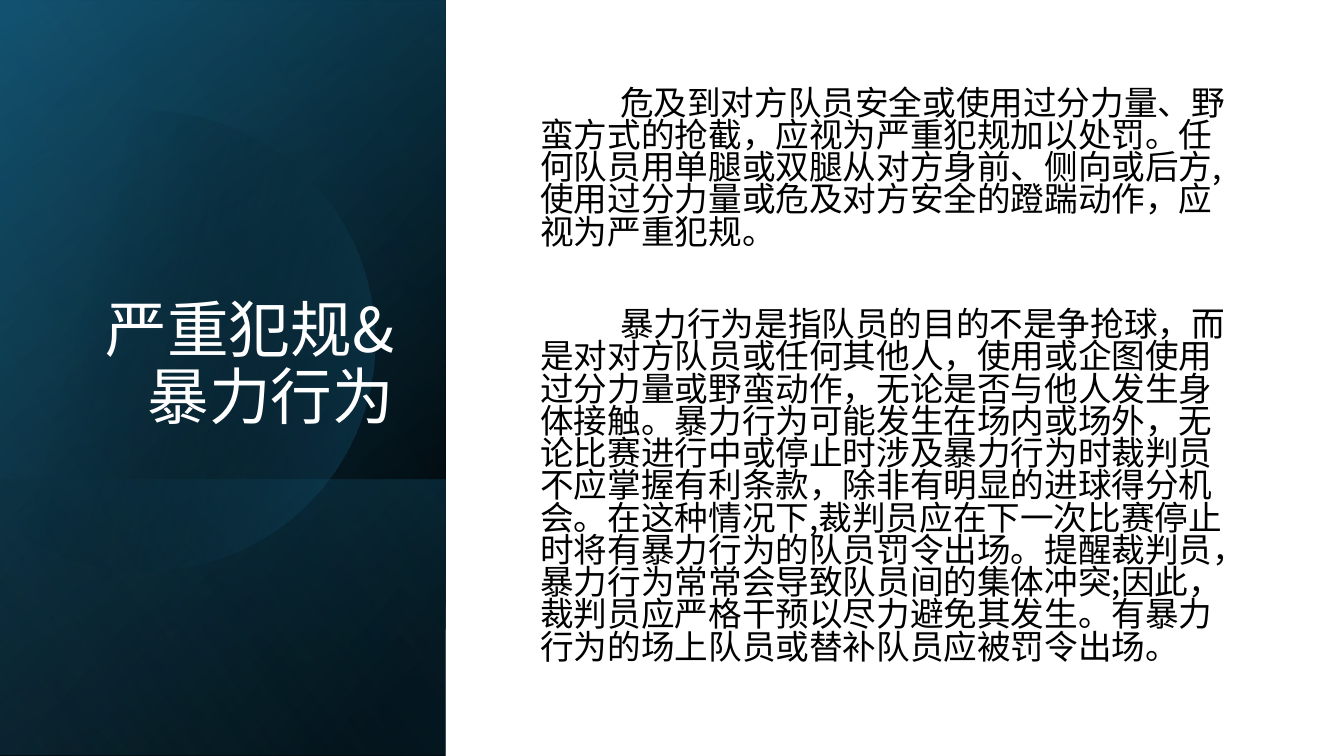
"""Build a slide on serious foul play and violent conduct."""
from dataclasses import dataclass

from lxml import etree
from pptx import Presentation
from pptx.dml.color import RGBColor
from pptx.enum.shapes import MSO_SHAPE
from pptx.enum.text import MSO_ANCHOR, MSO_AUTO_SIZE, PP_ALIGN
from pptx.oxml.ns import qn
from pptx.util import Inches, Pt

RECT = MSO_SHAPE.RECTANGLE
BOTTOM, MIDDLE = MSO_ANCHOR.BOTTOM, MSO_ANCHOR.MIDDLE
LEFT, RIGHT = PP_ALIGN.LEFT, PP_ALIGN.RIGHT
FIXED = MSO_AUTO_SIZE.NONE


@dataclass(frozen=True)
class Theme:
    font: str = "Noto Sans CJK SC"
    white: str = "FFFFFF"
    black: str = "000000"
    navy: str = "104862"
    blue: str = "156082"
    sky: str = "46B1E1"
    title: int = 44
    body: int = 24


theme = Theme()


def shade(shape, stops, angle):
    """Fill a shape with a gradient of (position, colour, opacity) stops."""
    shape.shadow.inherit = False
    shape.line.fill.background()
    shape.fill.gradient()
    grad = shape._element.spPr.find(qn("a:gradFill"))
    for child in list(grad):
        grad.remove(child)
    steps = etree.SubElement(grad, qn("a:gsLst"))
    for pos, color, alpha in stops:
        stop = etree.SubElement(steps, qn("a:gs"), pos=str(pos * 1000))
        tint = etree.SubElement(stop, qn("a:srgbClr"), val=color)
        etree.SubElement(tint, qn("a:alpha"), val=str(alpha * 1000))
    etree.SubElement(grad, qn("a:lin"), ang=str(angle * 60000), scaled="0")


def write(par, text, size, color):
    """Add one run of styled text to a paragraph."""
    run = par.add_run()
    run.text = text
    run.font.name = theme.font
    run.font.size = Pt(size)
    run.font.color.rgb = RGBColor.from_string(color)
    etree.SubElement(run._r.get_or_add_rPr(), qn("a:ea"), typeface=theme.font)


deck = Presentation()
deck.slide_width, deck.slide_height = Inches(13.33), Inches(7.5)
slide = deck.slides.add_slide(deck.slide_layouts[1])
shapes = slide.shapes
title, body = slide.placeholders

page = shapes.add_shape(RECT, 0, 0, deck.slide_width, deck.slide_height)
page.shadow.inherit = False
page.fill.solid()
page.fill.fore_color.rgb = RGBColor.from_string(theme.white)
page.line.fill.background()

panels = [
    (-1.54, 1.54, 7.5, [(8, theme.black, 100), (100, theme.navy, 100)], 50),
    (-1.54, 1.55, 7.5, [(0, theme.black, 0), (99, theme.blue, 46)], 30),
    (0.84, 3.92, 2.74, [(2, theme.blue, 29), (100, theme.black, 30)], 130),
    "disc",
    (-1.54, 1.53, 7.5, [(0, theme.black, 0), (99, theme.sky, 11)], 120),
]
start = (1.49, 1.1)
curves = [
    [(2.46, 1.12), (3.35, 1.77), (3.63, 2.75)],
    [(3.98, 3.97), (3.28, 5.23), (2.07, 5.58)],
    [(1.31, 5.8), (0.53, 5.61), (-0.03, 5.14)],
    [(-0.15, 5.03)],
    [(-0.15, 1.75)],
    [(0, 1.61)],
    [(0.23, 1.42), (0.5, 1.28), (0.8, 1.19)],
    [(1.03, 1.13), (1.26, 1.1), (1.49, 1.1)],
]
for panel in panels:
    if panel == "disc":
        pen, dots = start, []
        for curve in curves:
            if len(curve) == 3:
                b, c, d = curve
                for step in range(1, 17):
                    t = step / 16
                    u = 1 - t
                    dots.append(tuple(
                        u**3 * pen[i] + 3 * u * u * t * b[i]
                        + 3 * u * t * t * c[i] + t**3 * d[i]
                        for i in (0, 1)))
            else:
                dots.append(curve[0])
            pen = curve[-1]
        path = shapes.build_freeform(Inches(start[0]), Inches(start[1]))
        path.add_line_segments([(Inches(x), Inches(y)) for x, y in dots], close=True)
        shade(path.convert_to_shape(),
              [(29, theme.black, 0), (100, theme.blue, 43)], 14)
        continue
    left, top, width, stops, angle = panel
    side = shapes.add_shape(RECT, Inches(left), Inches(top), Inches(width), Inches(4.42))
    side.rotation = 90
    side._element.spPr.xfrm.set("flipH", "1")
    shade(side, stops, angle)

boxes = [(title, 0.51, 0.64, 3.5, 3.7, BOTTOM), (body, 5.26, 0.71, 7.17, 6.07, MIDDLE)]
for box, left, top, width, height, anchor in boxes:
    shapes._spTree.append(box._element)
    box.left, box.top = Inches(left), Inches(top)
    box.width, box.height = Inches(width), Inches(height)
    frame = box.text_frame
    frame.word_wrap = True
    frame.auto_size = FIXED
    frame.vertical_anchor = anchor

head = title.text_frame.paragraphs[0]
head.alignment = RIGHT
head.line_spacing = 0.9
write(head, "严重犯规&暴力行为", theme.title, theme.white)

rules = [
    "危及到对方队员安全或使用过分力量、野蛮方式的抢截，应视为严重犯规加以处罚。"
    "任何队员用单腿或双腿从对方身前、侧向或后方,使用过分力量或危及对方安全的蹬踹动作，"
    "应视为严重犯规。",
    "暴力行为是指队员的目的不是争抢球，而是对对方队员或任何其他人，"
    "使用或企图使用过分力量或野蛮动作，无论是否与他人发生身体接触。"
    "暴力行为可能发生在场内或场外，无论比赛进行中或停止时涉及暴力行为时"
    "裁判员不应掌握有利条款，除非有明显的进球得分机会。"
    "在这种情况下,裁判员应在下一次比赛停止时将有暴力行为的队员罚令出场。"
    "提醒裁判员，暴力行为常常会导致队员间的集体冲突;因此，"
    "裁判员应严格干预以尽力避免其发生。有暴力行为的场上队员或替补队员应被罚令出场。",
]
frame = body.text_frame
for i, rule in enumerate(rules):
    par = frame.add_paragraph() if i else frame.paragraphs[0]
    props = par._p.get_or_add_pPr()
    props.set("marL", "0")
    props.set("indent", str(Inches(0.79)))
    etree.SubElement(props, qn("a:buNone"))
    par.alignment = LEFT
    par.line_spacing = 0.8
    par.space_before = Pt(43 * i)
    write(par, rule, theme.body, theme.black)

deck.save("out.pptx")
